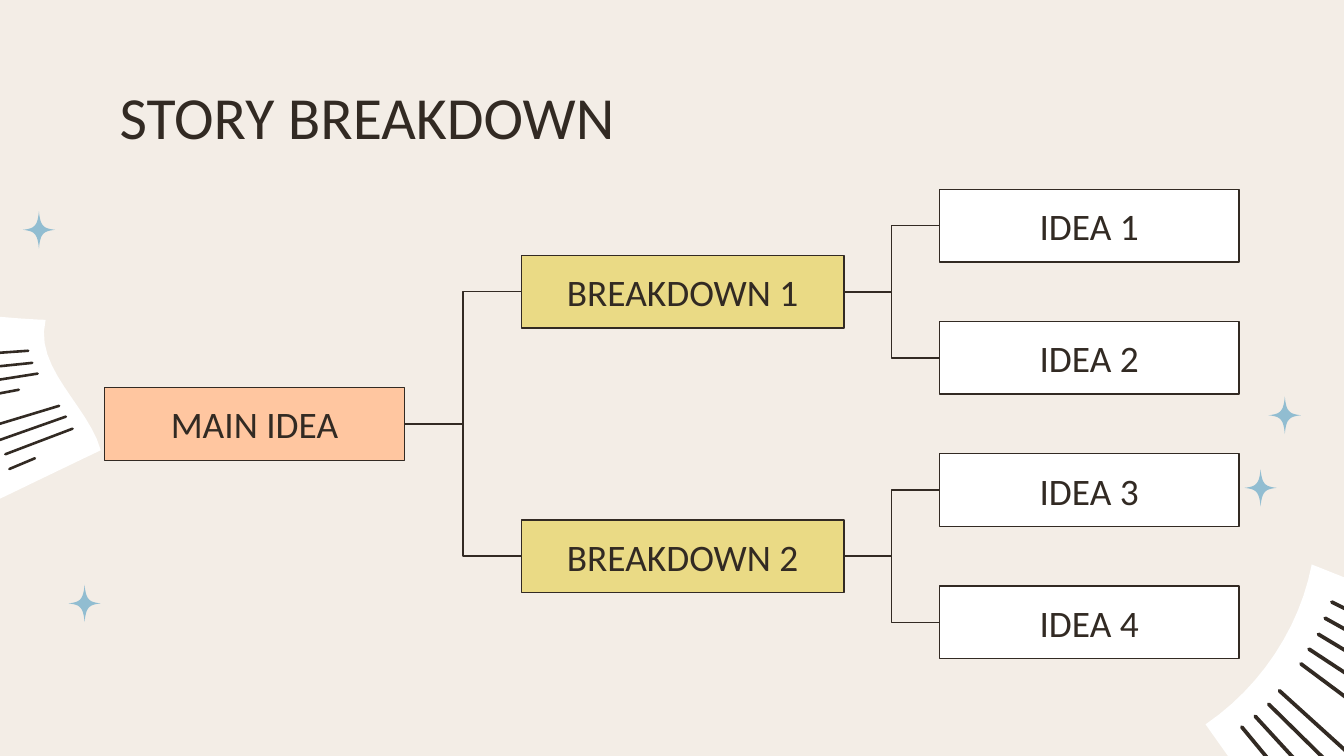
from lxml.etree import SubElement
from pptx import Presentation
from pptx.dml.color import RGBColor
from pptx.enum.shapes import MSO_CONNECTOR as LINK, MSO_SHAPE as SHAPE
from pptx.enum.text import MSO_ANCHOR as ANCHOR, MSO_AUTO_SIZE as FIT, PP_ALIGN as ALIGN
from pptx.oxml.ns import qn
from pptx.util import Inches, Pt

INK = RGBColor(0x32, 0x2A, 0x23)
CREAM = RGBColor(0xF3, 0xED, 0xE6)
WHITE = RGBColor(0xFF, 0xFF, 0xFF)
PEACH = RGBColor(0xFF, 0xC6, 0xA0)
YELLOW = RGBColor(0xEA, 0xDA, 0x85)
BLUE = RGBColor(0x91, 0xBD, 0xD1)
FONT = "Calibri"

# Widescreen page, 16:9
deck = Presentation()
deck.slide_width, deck.slide_height = Inches(10), Inches(10 * 9 / 16)
page = deck.slides.add_slide(deck.slide_layouts[5])
page.background.fill.solid()
page.background.fill.fore_color.rgb = CREAM


def draw_outline(knots, color, steps=12):
    """Fill a closed chain of cubic curves; each curve ends where the next starts."""
    points = []
    for first in range(0, len(knots) - 1, 3):
        curve = knots[first:first + 4]
        for step in range(steps + 1):
            t = step / steps
            weights = ((1 - t) ** 3, 3 * t * (1 - t) ** 2, 3 * t * t * (1 - t), t ** 3)
            points.append(tuple(
                Inches(sum(w * knot[axis] for w, knot in zip(weights, curve)))
                for axis in (0, 1)))
    builder = page.shapes.build_freeform(*points[0], scale=1.0)
    builder.add_line_segments(points[1:], close=True)
    outline = builder.convert_to_shape()
    outline.shadow.inherit = False
    outline.fill.solid()
    outline.fill.fore_color.rgb = color
    outline.line.fill.background()


def style_line(connector, width):
    connector.line.color.rgb = INK
    connector.line.width = Pt(width)
    SubElement(connector.line._get_or_add_ln().getparent(), qn("a:effectLst"))


# Paper sheets with their lines of writing
left_sheet = [
    (0.75, 3.35), (0.5, 3.47), (0.23, 3.6), (-0.06, 3.74),
    (0.09, 3.22), (-0.79, 2.9), (-0.39, 2.32),
    (-0.17, 2.34), (0.08, 2.37), (0.34, 2.38),
    (0.25, 2.74), (0.66, 3.02), (0.75, 3.35)]
left_writing = [
    (-0.36, 2.65, 0.21, 2.61), (-0.34, 2.76, 0.24, 2.7),
    (-0.29, 2.87, 0.28, 2.78), (-0.23, 2.97, 0.14, 2.9),
    (-0.09, 3.18, 0.44, 3.02), (-0.02, 3.28, 0.49, 3.1),
    (0.04, 3.38, 0.54, 3.19), (0.07, 3.49, 0.26, 3.41)]
right_sheet = [
    (9.63, 6.32), (9.41, 6.01), (9.19, 5.7), (8.97, 5.39),
    (9.38, 5.11), (9.67, 4.67), (9.76, 4.2),
    (10.19, 4.37), (10.62, 4.55), (11.05, 4.72),
    (10.81, 5.41), (10.29, 5.99), (9.63, 6.32)]
right_writing = [
    (9.91, 4.48, 10.43, 4.74), (9.86, 4.6, 10.67, 5.05),
    (9.81, 4.72, 10.59, 5.19), (9.74, 4.83, 10.5, 5.33),
    (9.68, 4.94, 10.15, 5.29), (9.52, 5.14, 10.16, 5.72),
    (9.44, 5.24, 10.04, 5.83), (9.34, 5.33, 9.9, 5.94),
    (9.24, 5.41, 9.43, 5.64)]
for sheet, writing, width in ((left_sheet, left_writing, 1.4),
                              (right_sheet, right_writing, 2)):
    draw_outline(sheet, WHITE)
    for ends in writing:
        stroke = page.shapes.add_connector(LINK.STRAIGHT, *map(Inches, ends))
        style_line(stroke, width)
        stroke.line._get_or_add_ln().set("cap", "rnd")

# Four-pointed stars around their centres
star = [(0.12, 0), (0.03, 0.01), (0.01, 0.03), (0, 0.14),
        (-0.01, 0.03), (-0.03, 0.01), (-0.12, 0),
        (-0.03, -0.01), (-0.01, -0.03), (0, -0.14),
        (0.01, -0.03), (0.03, -0.01), (0.12, 0)]
for x, y in ((9.56, 3.09), (9.38, 3.63), (0.29, 1.71), (0.63, 4.49)):
    draw_outline([(x + dx, y + dy) for dx, dy in star], BLUE)

# Title
title = page.shapes.title
title.left, title.top = Inches(0.79), Inches(0.49)
title.width, title.height = Inches(8.43), Inches(0.71)
frame = title.text_frame
frame.text = "STORY BREAKDOWN"
frame.auto_size = FIT.NONE
frame.vertical_anchor = ANCHOR.TOP
frame.margin_left = frame.margin_right = Inches(0.1)
frame.margin_top = frame.margin_bottom = Inches(0.1)
para = frame.paragraphs[0]
para.alignment = ALIGN.LEFT
para.font.name, para.font.size = FONT, Pt(32)
para.font.color.rgb = INK

# Tree boxes: label, parent, left, width, row, fill
TOP, ROW_STEP = 1.41, 0.98
nodes = [("MAIN IDEA", None, 0.78, 2.23, 1.5, PEACH)]
for number in (1, 2):
    nodes.append((f"BREAKDOWN {number}", "MAIN IDEA", 3.88, 2.4, 2 * number - 1.5, YELLOW))
for number in range(1, 5):
    parent = f"BREAKDOWN {(number + 1) // 2}"
    nodes.append((f"IDEA {number}", parent, 6.99, 2.23, number - 1, WHITE))
ROW_STEP = (4.36 - TOP) / 3

boxes = {}
for label, parent, left, width, row, color in nodes:
    box = page.shapes.add_shape(SHAPE.RECTANGLE, Inches(left), Inches(TOP + row * ROW_STEP),
                                Inches(width), Inches(0.54))
    boxes[label] = box
    box.shadow.inherit = False
    box.fill.solid()
    box.fill.fore_color.rgb = color
    box.line.color.rgb = INK
    box.line.width = Pt(0.75)
    frame = box.text_frame
    frame.text = label
    frame.vertical_anchor = ANCHOR.MIDDLE
    frame.margin_top = frame.margin_bottom = Inches(0.1)
    para = frame.paragraphs[0]
    para.alignment = ALIGN.CENTER
    para.font.name, para.font.size = FONT, Pt(20)
    para.font.color.rgb = INK

    # Elbow from the parent's right side to this box's left side
    if parent:
        source = boxes[parent]
        elbow = page.shapes.add_connector(
            LINK.ELBOW, source.left + source.width, source.top + source.height // 2,
            box.left, box.top + box.height // 2)
        elbow.begin_connect(source, 3)
        elbow.end_connect(box, 1)
        style_line(elbow, 0.75)

deck.save("out.pptx")
